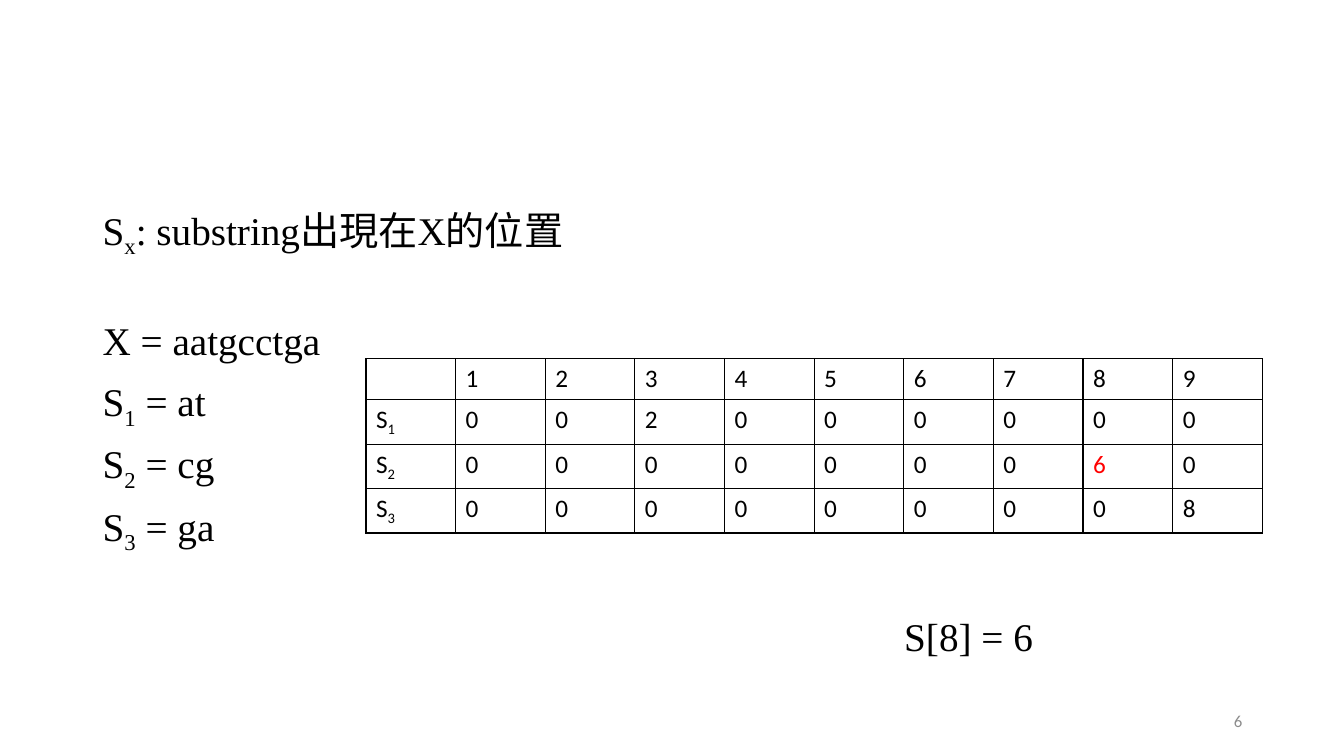
"""Build a slide listing substring positions beside a table of S values."""
from lxml import etree
from pptx import Presentation
from pptx.dml.color import RGBColor
from pptx.enum.text import MSO_ANCHOR, PP_ALIGN
from pptx.oxml.ns import qn
from pptx.util import Inches, Pt

COLORS = {"text": "000000", "highlight": "FF0000", "number": "8C8C8C"}
LINES = [
    ("S_x_: substring出現在X的位置", 0),
    ("X = aatgcctga", 48),
    ("S_1_ = at", 10),
    ("S_2_ = cg", 10),
    ("S_3_ = ga", 10),
    ("S[8] = 6", 48),
]
HITS = {(1, 3): "2", (2, 8): "6", (3, 9): "8"}


def write(paragraph, text, font_name, size, color):
    """Fill a paragraph, lowering the parts between underscores."""
    for index, part in enumerate(text.split("_")):
        if part:
            run = paragraph.add_run()
            run.text = part
            if index % 2:
                run._r.get_or_add_rPr().set("baseline", "-25000")
    paragraph.font.name = font_name
    paragraph.font.size = Pt(size)
    paragraph.font.color.rgb = RGBColor.from_string(COLORS[color])


def add_borders(cell):
    """Give a cell thin black lines on all four sides."""
    properties = cell._tc.get_or_add_tcPr()
    for position, side in enumerate(("a:lnL", "a:lnR", "a:lnT", "a:lnB")):
        line = etree.Element(qn(side), w=str(Pt(1)))
        fill = etree.SubElement(line, qn("a:solidFill"))
        etree.SubElement(fill, qn("a:srgbClr"), val=COLORS["text"])
        properties.insert(position, line)


presentation = Presentation()
presentation.slide_width = Inches(13.33)
presentation.slide_height = Inches(7.5)
slide = presentation.slides.add_slide(presentation.slide_layouts[6])

number_box = slide.shapes.add_textbox(Inches(9.42), Inches(6.95), Inches(3), Inches(0.4))
number_box.text_frame.word_wrap = True
number_box.text_frame.vertical_anchor = MSO_ANCHOR.MIDDLE
number = number_box.text_frame.paragraphs[0]
number.alignment = PP_ALIGN.RIGHT
write(number, "6", "Calibri", 12, "number")

body = slide.shapes.add_textbox(Inches(0.92), Inches(2), Inches(11.5), Inches(4.76))
frame = body.text_frame
frame.word_wrap = True
for index, (text, space_before) in enumerate(LINES):
    paragraph = frame.add_paragraph() if index else frame.paragraphs[0]
    paragraph.line_spacing = 0.9
    paragraph.space_before = Pt(space_before)
    write(paragraph, text, "Times New Roman", 28, "text")
paragraph._p.get_or_add_pPr().set("marL", str(Inches(7.95)))

table = slide.shapes.add_table(
    4, 10, Inches(3.63), Inches(3.56), Inches(8.89), Inches(1.62)
).table
table.first_row = False
table.horz_banding = False
for row in range(4):
    for column in range(10):
        cell = table.cell(row, column)
        cell.fill.background()
        add_borders(cell)
        if row and column:
            text = HITS.get((row, column), "0")
        elif row:
            text = f"S_{row}_"
        else:
            text = str(column) if column else ""
        color = "highlight" if (row, column) == (2, 8) else "text"
        write(cell.text_frame.paragraphs[0], text, "Calibri", 18, color)

presentation.save("out.pptx")
